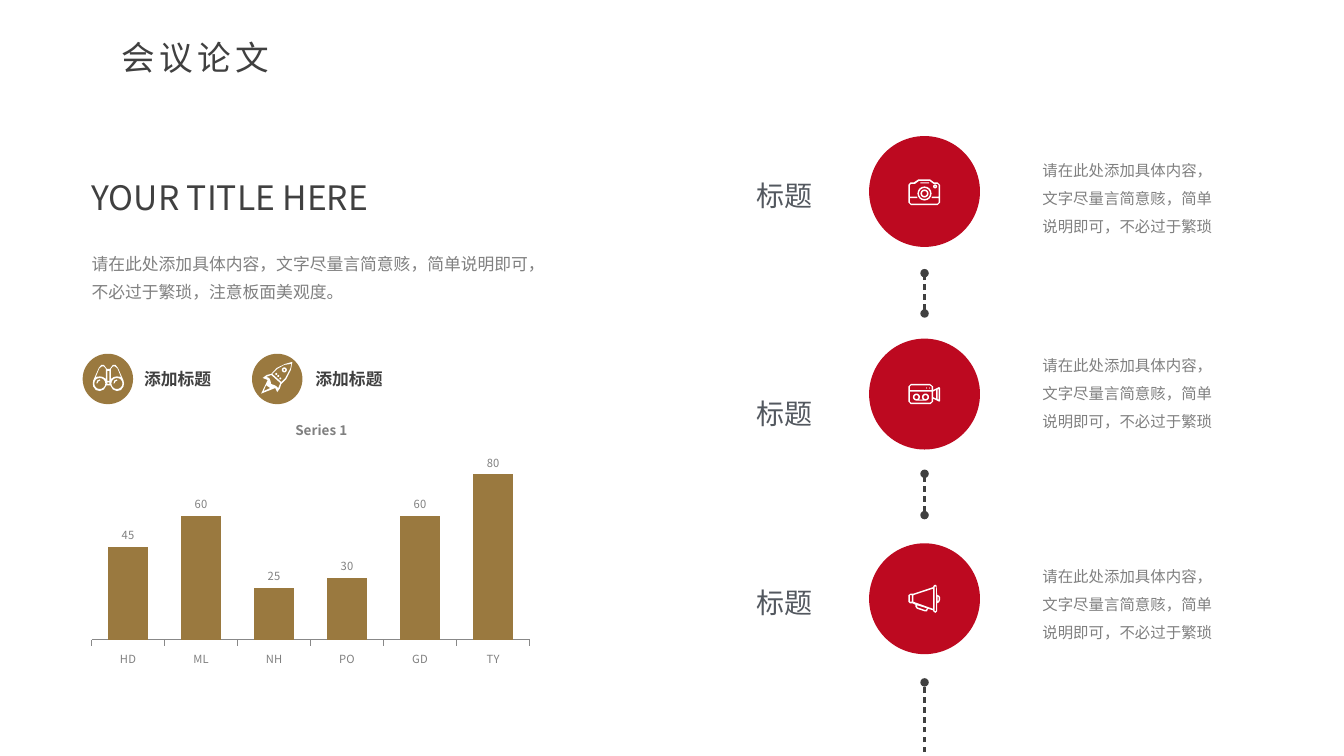
from math import cos, pi, sin
from typing import NamedTuple

from lxml import etree
from pptx import Presentation
from pptx.chart.data import CategoryChartData
from pptx.dml.color import RGBColor
from pptx.enum.chart import XL_CHART_TYPE, XL_LABEL_POSITION, XL_TICK_LABEL_POSITION, XL_TICK_MARK
from pptx.enum.shapes import MSO_CONNECTOR, MSO_SHAPE
from pptx.enum.text import MSO_ANCHOR, PP_ALIGN
from pptx.oxml.ns import qn
from pptx.util import Inches, Pt

COLUMN = XL_CHART_TYPE.COLUMN_CLUSTERED
OUTSIDE = XL_LABEL_POSITION.OUTSIDE_END
NO_LABEL, LOW = XL_TICK_LABEL_POSITION.NONE, XL_TICK_LABEL_POSITION.LOW
NO_TICK, TICK_OUT = XL_TICK_MARK.NONE, XL_TICK_MARK.OUTSIDE
STRAIGHT = MSO_CONNECTOR.STRAIGHT
OVAL = MSO_SHAPE.OVAL
TOP, MIDDLE = MSO_ANCHOR.TOP, MSO_ANCHOR.MIDDLE
LEFT, RIGHT, JUSTIFY = PP_ALIGN.LEFT, PP_ALIGN.RIGHT, PP_ALIGN.JUSTIFY

COLORS = {"red": "BD0920", "gold": "9A793F", "dark": "404040", "gray": "808080",
          "slate": "53585F", "axis": "888888", "white": "FFFFFF"}
FONT = "Noto Sans CJK SC"
UNIT = 200  # icon grid steps per inch
FINE = 10  # pen steps per grid step
SIDES = 16
Points = list[tuple[float, float]]


class Icon(NamedTuple):
    """Nested outlines, each cut from the one around it; rings are (centre x, centre y, radius)."""
    paths: list[Points]
    rings: list[tuple[int, int, int]]


class Step(NamedTuple):
    disc_y: float
    label_y: float
    note_y: float
    icon: Icon
    icon_y: float


class Badge(NamedTuple):
    x: float
    label_x: float
    icon: Icon
    icon_x: float
    icon_y: float


class Link(NamedTuple):
    start: float
    end: float
    ends: tuple[str, ...]


CAMERA = Icon(
    [[(0, 11), (4, 6), (11, 6), (20, 0), (43, 0), (51, 6), (58, 6), (63, 11),
      (63, 46), (58, 51), (5, 51), (0, 46)],
     [(3, 11), (5, 9), (13, 9), (21, 3), (42, 3), (50, 9), (58, 9), (60, 11), (60, 34),
      (47, 34), (46, 37), (60, 37), (60, 46), (58, 48), (5, 48), (3, 46), (3, 37),
      (18, 37), (17, 34), (3, 34)],
     [(24, 6), (41, 6), (41, 8), (24, 8)]],
    [(32, 28, 14), (32, 28, 11), (32, 28, 8), (32, 28, 5), (53, 14, 4), (53, 14, 1)])
VIDEO = Icon(
    [[(0, 5), (5, 0), (43, 0), (49, 5), (49, 12), (61, 6), (63, 8), (63, 34), (61, 35),
      (49, 29), (49, 35), (44, 40), (5, 40), (0, 35)],
     [(3, 12), (3, 5), (5, 3), (43, 3), (46, 5), (46, 12)],
     [(3, 15), (46, 15), (46, 35), (43, 37), (5, 37), (3, 35)],
     [(49, 15), (55, 12), (55, 29), (49, 26)],
     [(58, 11), (60, 10), (60, 31), (58, 30)],
     [(21, 31), (29, 31), (33, 33), (17, 33)]],
    [(16, 26, 7), (16, 26, 4), (34, 26, 7), (34, 26, 4), (36, 8, 1), (42, 8, 1)])
HORN = Icon(
    [[(0, 21), (4, 18), (10, 18), (49, 5), (50, 2), (53, 0), (56, 2), (57, 20), (61, 22),
      (63, 25), (63, 30), (61, 35), (57, 37), (57, 53), (54, 56), (50, 54), (49, 51),
      (39, 48), (37, 53), (32, 53), (17, 48), (14, 44), (14, 40), (8, 37), (3, 37), (0, 34)],
     [(3, 21), (7, 21), (7, 34), (3, 34)],
     [(10, 21), (49, 8), (49, 48), (10, 34)],
     [(52, 4), (55, 4), (55, 52), (52, 52)],
     [(58, 23), (60, 25), (60, 31), (58, 33)],
     [(17, 41), (37, 47), (35, 50), (32, 50), (18, 45)]],
    [])
BARREL = [(6, 24), (13, 7), (18, 3), (22, 3), (26, 8), (26, 28), (20, 24), (14, 23)]
GLINT = [(7, 37), (9, 31), (14, 29), (15, 31), (11, 33), (9, 37)]
GLASSES = Icon(
    [[(0, 37), (1, 31), (12, 6), (17, 0), (22, 0), (28, 8), (34, 8), (40, 0), (45, 0),
      (50, 6), (61, 31), (62, 37), (61, 43), (56, 50), (48, 52), (40, 49), (35, 41),
      (27, 41), (22, 49), (14, 52), (6, 50), (1, 43)],
     BARREL, [(62 - x, y) for x, y in BARREL],
     [(29, 12), (33, 12), (33, 32), (29, 32)],
     [(29, 35), (33, 35), (33, 38), (29, 38)],
     GLINT, [(x + 34, y) for x, y in GLINT]],
    [(14, 37, 11), (48, 37, 11)])
ROCKET = Icon(
    [[(62, 0), (48, 4), (31, 12), (20, 24), (11, 26), (3, 32), (13, 36), (0, 63),
      (28, 52), (32, 60), (37, 53), (40, 44), (50, 34), (59, 16)],
     [(60, 4), (58, 13), (48, 32), (40, 40), (22, 24), (32, 14), (46, 6)],
     [(20, 26), (38, 42), (34, 52), (30, 48), (26, 46), (20, 44), (18, 36), (16, 32), (10, 30)],
     [(5, 58), (10, 46), (12, 48), (18, 52)]],
    [(46, 16, 5), (46, 16, 2), (30, 24, 2), (34, 28, 2), (38, 33, 2)])

STEPS = [Step(1.35, 1.69, 1.45, CAMERA, 1.78),
         Step(3.36, 3.85, 3.39, VIDEO, 3.81),
         Step(5.39, 5.73, 5.48, HORN, 5.8)]
LINKS = [Link(3.11, 2.71, ("headEnd", "tailEnd")),
         Link(5.11, 4.7, ("headEnd", "tailEnd")),
         Link(7.56, 6.77, ("tailEnd",))]
BADGES = [Badge(0.82, 1.33, GLASSES, 0.92, 3.62),
          Badge(2.5, 3.03, ROCKET, 2.59, 3.59)]
SALES = {"HD": 45, "ML": 60, "NH": 25, "PO": 30, "GD": 60, "TY": 80}
NOTE = "请在此处添加具体内容，文字尽量言简意赅，简单说明即可，不必过于繁琐"
INTRO = NOTE + "，注意板面美观度。"

deck = Presentation()
deck.slide_width, deck.slide_height = Inches(13.33), Inches(7.5)
shapes = deck.slides.add_slide(deck.slide_layouts[6]).shapes


def rgb(name: str) -> RGBColor:
    return RGBColor.from_string(COLORS[name])


def put(text: str, x: float, y: float, w: float, h: float, *, size: float, color: str,
        font: str = FONT, bold: bool = False, align=LEFT, anchor=TOP, leading=None,
        inset=(0.1, 0.05), wrap: bool = True, spread: int = 0) -> None:
    """Add a text box; spread is letter spacing in hundredths of a point."""
    frame = shapes.add_textbox(Inches(x), Inches(y), Inches(w), Inches(h)).text_frame
    frame.word_wrap, frame.vertical_anchor = wrap, anchor
    frame.margin_left = frame.margin_right = Inches(inset[0])
    frame.margin_top = frame.margin_bottom = Inches(inset[1])
    para = frame.paragraphs[0]
    para.alignment, para.line_spacing = align, leading
    run = para.add_run()
    run.text = text
    run.font.size, run.font.bold, run.font.name = Pt(size), bold, font
    run.font.color.rgb = rgb(color)
    props = run.font._element
    etree.SubElement(props, qn("a:ea"), typeface=FONT)
    if spread:
        props.set("spc", str(spread))


def paint(shape, color: str) -> None:
    shape.shadow.inherit = False
    shape.fill.solid()
    shape.fill.fore_color.rgb = rgb(color)
    shape.line.fill.background()


def disc(x: float, y: float, size: float, color: str) -> None:
    paint(shapes.add_shape(OVAL, Inches(x), Inches(y), Inches(size), Inches(size)), color)


def ring(cx: int, cy: int, r: int) -> Points:
    turns = [2 * pi * i / SIDES for i in range(SIDES)]
    return [(cx + r * cos(t), cy + r * sin(t)) for t in turns]


def draw(icon: Icon, x: float, y: float) -> None:
    paths = [[(px * FINE, py * FINE) for px, py in path]
             for path in icon.paths + [ring(*spot) for spot in icon.rings]]
    pen = shapes.build_freeform(*paths[0][0], scale=Inches(1) / (UNIT * FINE))
    for i, path in enumerate(paths):
        if i:
            pen.move_to(*path[0])
        pen.add_line_segments(path[1:], close=True)
    paint(pen.convert_to_shape(Inches(x), Inches(y)), "white")


def join(link: Link, x: float) -> None:
    line = shapes.add_connector(STRAIGHT, Inches(x), Inches(link.start), Inches(x), Inches(link.end))
    line.line.color.rgb = rgb("dark")
    line.line.width = Pt(2)
    dash = etree.SubElement(line.line._ln, qn("a:custDash"))
    etree.SubElement(dash, qn("a:ds"), d="200000", sp="150000")
    for end in link.ends:
        etree.SubElement(line.line._ln, qn(f"a:{end}"), type="oval")
    etree.SubElement(line._element.spPr, qn("a:effectLst"))


def place(node, **values) -> None:
    """Give a chart part a fixed layout."""
    layout = node.find(qn("c:layout"))
    if layout is None:
        layout = etree.Element(qn("c:layout"))
        node.insert(0, layout)
    manual = etree.SubElement(layout, qn("c:manualLayout"))
    for tag, value in values.items():
        etree.SubElement(manual, qn(f"c:{tag}"), val=str(value))


def plot() -> None:
    data = CategoryChartData(number_format="0")
    data.categories = list(SALES)
    data.add_series("Series 1", list(SALES.values()))
    chart = shapes.add_chart(COLUMN, Inches(0.82), Inches(4.12), Inches(4.44), Inches(2.53), data).chart
    chart.font.size, chart.font.name = Pt(8), FONT
    chart.font.color.rgb = rgb("gray")
    chart.has_legend = False
    title = chart.chart_title.text_frame
    title.text = "Series 1"
    font = title.paragraphs[0].runs[0].font
    font.size, font.bold, font.name = Pt(9.6), True, FONT
    font.color.rgb = rgb("gray")
    head = chart.chart_title._element
    head.find(qn("c:overlay")).set("val", "1")
    place(head, xMode="edge", yMode="edge", x=0.47, y=0)

    axis = chart.category_axis
    axis.tick_label_position, axis.major_tick_mark = LOW, TICK_OUT
    axis.format.line.color.rgb = rgb("axis")
    axis.format.line.width = Pt(1)
    scale = chart.value_axis
    scale.minimum_scale, scale.maximum_scale, scale.major_unit = 0, 100, 20
    scale.has_major_gridlines = False
    scale.tick_label_position, scale.major_tick_mark = NO_LABEL, NO_TICK
    scale.format.line.fill.background()

    bars = chart.plots[0]
    bars.gap_width, bars.overlap, bars.vary_by_categories = 80, -27, False
    fill = bars.series[0].format.fill
    fill.solid()
    fill.fore_color.rgb = rgb("gold")
    bars.has_data_labels = True
    labels = bars.data_labels
    labels.show_value, labels.position = True, OUTSIDE
    labels.number_format, labels.number_format_is_linked = "0", False
    place(chart._chartSpace.find(".//" + qn("c:plotArea")), layoutTarget="inner",
          xMode="edge", yMode="edge", x=0.02, y=0.07, w=0.98, h=0.81)


def main() -> None:
    for step in STEPS:
        disc(8.62, step.disc_y, 1.1, "red")
        draw(step.icon, 9.01, step.icon_y)
        put("标题", 7.47, step.label_y, 0.62, 0.43, size=20, color="slate", font="Arial",
            align=RIGHT, anchor=MIDDLE, leading=1.2, inset=(0.03, 0.03), wrap=False)
        put(NOTE, 10.24, step.note_y, 1.96, 0.94, size=11, color="gray", leading=Pt(20))
    plot()
    for link in LINKS:
        join(link, 9.17)
    put("YOUR TITLE HERE", 0.81, 1.71, 3.48, 0.47, size=24, color="dark")
    put(INTRO, 0.81, 2.39, 4.55, 0.63, size=12, color="gray", leading=Pt(20))
    for badge in BADGES:
        disc(badge.x, 3.51, 0.5, "gold")
        draw(badge.icon, badge.icon_x, badge.icon_y)
        put("添加标题", badge.label_x, 3.61, 1.19, 0.3, size=12, color="dark", bold=True)
    put("会议论文", 1.11, 0.32, 2.56, 0.5, size=24, color="dark", align=JUSTIFY, spread=300)
    deck.save("out.pptx")


if __name__ == "__main__":
    main()
